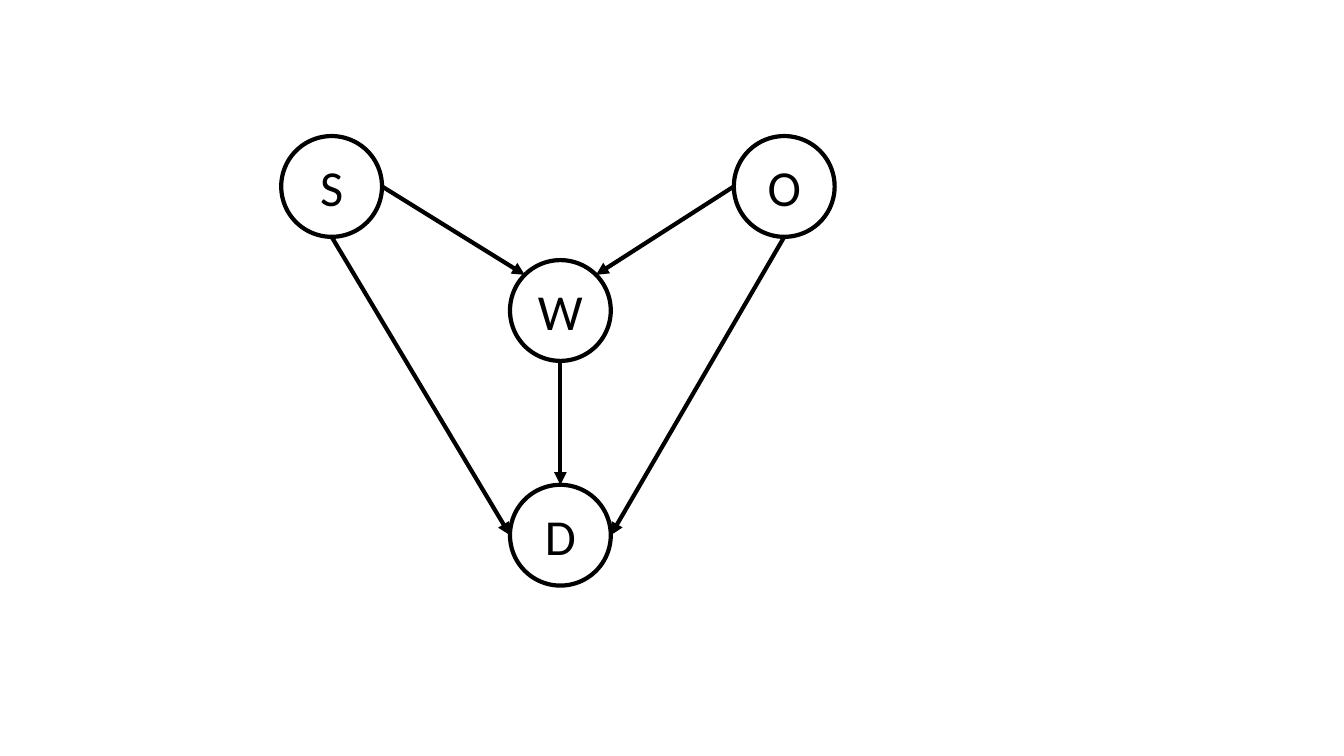
import math

import pptx
import pptx.dml.color
import pptx.enum.shapes
import pptx.enum.text
import pptx.oxml
import pptx.oxml.ns
import pptx.util

Pt = pptx.util.Pt


def paint(color_format, hex_code):
    color_format.rgb = pptx.dml.color.RGBColor.from_string(hex_code)


def write(frame, text, *, size, font, color, align, anchor):
    frame.vertical_anchor = anchor
    paragraph = frame.paragraphs[0]
    paragraph.alignment = align
    letter = paragraph.add_run()
    letter.text = text
    letter.font.size = Pt(size)
    letter.font.name = font
    paint(letter.font.color, color)


BLACK = "000000"
DIAMETER = 72
RADIUS = DIAMETER / 2
DIAGONAL = RADIUS * math.sqrt(0.5)

presentation = pptx.Presentation()
presentation.slide_width = Pt(960)
presentation.slide_height = Pt(540)
slide = presentation.slides.add_slide(presentation.slide_layouts[6])

centers = {
    "D": (400.3, 382.3),
    "S": (236.9, 133.2),
    "W": (400.3, 221.8),
    "O": (560.2, 133.2),
}
sides = {
    "top": (0, -RADIUS),
    "bottom": (0, RADIUS),
    "left": (-RADIUS, 0),
    "right": (RADIUS, 0),
    "top left": (-DIAGONAL, -DIAGONAL),
    "top right": (DIAGONAL, -DIAGONAL),
}
influences = [
    ("W", "bottom", "D", "top"),
    ("S", "bottom", "D", "left"),
    ("O", "bottom", "D", "right"),
    ("O", "left", "W", "top right"),
    ("S", "right", "W", "top left"),
]

for name, (x, y) in centers.items():
    node = slide.shapes.add_shape(
        pptx.enum.shapes.MSO_SHAPE.OVAL,
        Pt(x - RADIUS), Pt(y - RADIUS), Pt(DIAMETER), Pt(DIAMETER))
    node.shadow.inherit = False
    node.fill.background()
    write(node.text_frame, name, size=36, font="Calibri", color=BLACK,
          align=pptx.enum.text.PP_ALIGN.CENTER,
          anchor=pptx.enum.text.MSO_ANCHOR.MIDDLE)
    paint_line = node.line
    paint_line.width = Pt(3)
    paint(paint_line.color, BLACK)

for cause, exit_side, effect, entry_side in influences:
    ends = [
        Pt(center + offset)
        for name, side in ((cause, exit_side), (effect, entry_side))
        for center, offset in zip(centers[name], sides[side])
    ]
    influence = slide.shapes.add_connector(
        pptx.enum.shapes.MSO_CONNECTOR.STRAIGHT, *ends)
    influence.line.width = Pt(3)
    paint(influence.line.color, BLACK)
    arrowhead = pptx.oxml.parse_xml(
        f'<a:tailEnd {pptx.oxml.ns.nsdecls("a")} type="triangle"/>')
    influence.line._get_or_add_ln().append(arrowhead)
    influence._element.spPr.append(
        pptx.oxml.parse_xml(f'<a:effectLst {pptx.oxml.ns.nsdecls("a")}/>'))

presentation.save("out.pptx")
